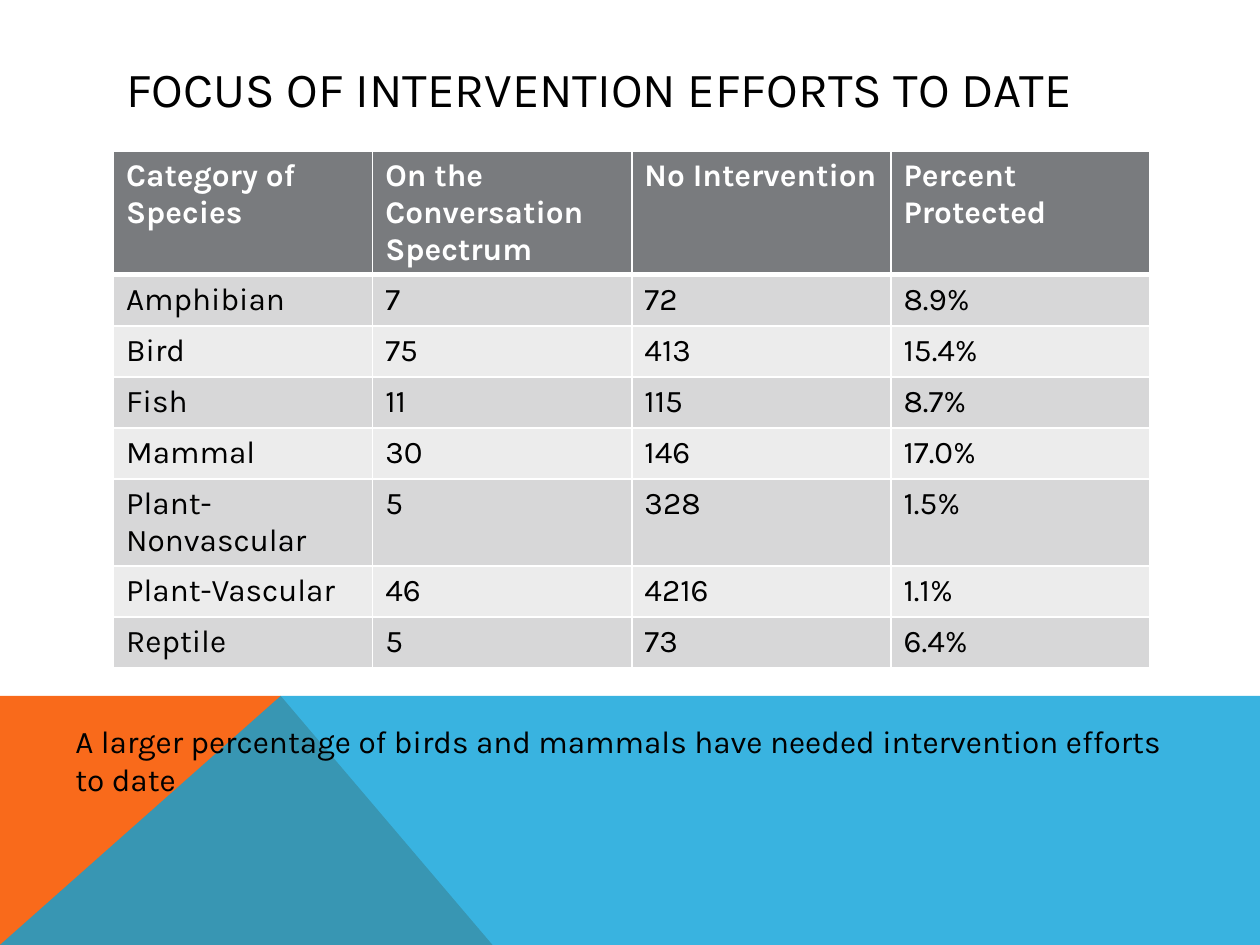
from lxml import etree
from pptx import Presentation
from pptx.dml.color import RGBColor
from pptx.enum.text import MSO_ANCHOR, PP_ALIGN
from pptx.oxml.ns import qn
from pptx.util import Cm, Pt

MIDDLE = MSO_ANCHOR.MIDDLE
LEFT = PP_ALIGN.LEFT
BLACK = RGBColor(0x00, 0x00, 0x00)
WHITE = RGBColor(0xFF, 0xFF, 0xFF)
ORANGE = RGBColor(0xF9, 0x6A, 0x1B)
BLUE = RGBColor(0x08, 0xA1, 0xD9)
HEADER_GRAY = RGBColor(0x79, 0x7B, 0x7E)
BAND_GRAYS = (RGBColor(0xD7, 0xD7, 0xD8), RGBColor(0xEC, 0xEC, 0xEC))
FONT = "Karla"
ROWS = (
    ("Category of Species", "On the Conversation Spectrum", "No Intervention", "Percent Protected"),
    ("Amphibian", "7", "72", "8.9%"),
    ("Bird", "75", "413", "15.4%"),
    ("Fish", "11", "115", "8.7%"),
    ("Mammal", "30", "146", "17.0%"),
    ("Plant-Nonvascular", "5", "328", "1.5%"),
    ("Plant-Vascular", "46", "4216", "1.1%"),
    ("Reptile", "5", "73", "6.4%"),
)


def set_text(text_frame, text, size, color=BLACK, bold=False):
    """Write left-aligned text and format its run."""
    text_frame.text = text
    paragraph = text_frame.paragraphs[0]
    paragraph.alignment = LEFT
    font = paragraph.runs[0].font
    font.name, font.size, font.bold = FONT, Pt(size), bold
    font.color.rgb = color


def add_polygon(slide, points, color, opacity=100):
    """Draw a filled outline without a line."""
    builder = slide.shapes.build_freeform(*points[0])
    builder.add_line_segments(points[1:], close=True)
    shape = builder.convert_to_shape()
    shape.shadow.inherit = False
    shape.fill.solid()
    shape.fill.fore_color.rgb = color
    shape.line.fill.background()
    if opacity < 100:
        color_element = shape._element.spPr.find(qn("a:solidFill"))[0]
        etree.SubElement(color_element, qn("a:alpha"), val=str(opacity * 1000))


def add_footer_band(slide, left, top, width, height):
    """Place the orange wedge and the translucent blue band over it."""
    right, bottom = left + width, top + height
    peak = left + Cm(5.66)
    wedge = ((left, bottom), (left, top), (peak, top), (left + Cm(9.93), bottom))
    band = ((left, bottom), (peak, top), (right, top), (right, bottom))
    add_polygon(slide, wedge, ORANGE)
    add_polygon(slide, band, BLUE, opacity=80)


def place_title(slide, left, top, width, height):
    """Move and format the title placeholder."""
    title = slide.shapes.title
    title.left, title.top, title.width, title.height = left, top, width, height
    title.text_frame.vertical_anchor = MIDDLE
    set_text(title.text_frame, "FOCUS OF INTERVENTION EFFORTS TO DATE", 28)


def set_borders(cell, bottom_width):
    """Give a cell white borders."""
    properties = cell._tc.get_or_add_tcPr()
    widths = {"a:lnL": 1, "a:lnR": 1, "a:lnT": 1, "a:lnB": bottom_width}
    for index, (tag, width) in enumerate(widths.items()):
        line = etree.Element(qn(tag), w=str(Pt(width)))
        fill = etree.SubElement(line, qn("a:solidFill"))
        etree.SubElement(fill, qn("a:srgbClr"), val=str(WHITE))
        properties.insert(index, line)


def add_species_table(slide, left, top, width, height):
    """Place the banded table of species."""
    table = slide.shapes.add_table(len(ROWS), len(ROWS[0]), left, top, width, height).table
    for row_index, row in enumerate(ROWS):
        is_header = row_index == 0
        for column_index, text in enumerate(row):
            cell = table.cell(row_index, column_index)
            cell.fill.solid()
            cell.fill.fore_color.rgb = HEADER_GRAY if is_header else BAND_GRAYS[(row_index - 1) % 2]
            set_text(cell.text_frame, text, 18, WHITE if is_header else BLACK, is_header)
            set_borders(cell, 3 if is_header else 1)
    for row_index in range(1, len(ROWS)):
        for column_index in range(len(ROWS[0])):
            if row_index == 1:
                top_line = table.cell(row_index, column_index)._tc.tcPr.find(qn("a:lnT"))
                top_line.set("w", str(Pt(3)))


def add_conclusion(slide, left, top, width, height):
    """Place the closing sentence."""
    text_frame = slide.shapes.add_textbox(left, top, width, height).text_frame
    text_frame.word_wrap = True
    sentence = "A larger percentage of birds and mammals have needed intervention efforts to date"
    set_text(text_frame, sentence, 18)


def main():
    """Build and save the slide."""
    presentation = Presentation()
    presentation.slide_width, presentation.slide_height = Cm(25.4), Cm(19.05)
    slide = presentation.slides.add_slide(presentation.slide_layouts[5])
    add_footer_band(slide, Cm(0), Cm(14.03), Cm(25.4), Cm(5.02))
    place_title(slide, Cm(2.29), Cm(1.02), Cm(20.88), Cm(1.52))
    add_species_table(slide, Cm(2.29), Cm(3.05), Cm(20.9), Cm(8.24))
    add_conclusion(slide, Cm(1.27), Cm(14.43), Cm(23.06), Cm(1.02))
    presentation.save("out.pptx")


main()
